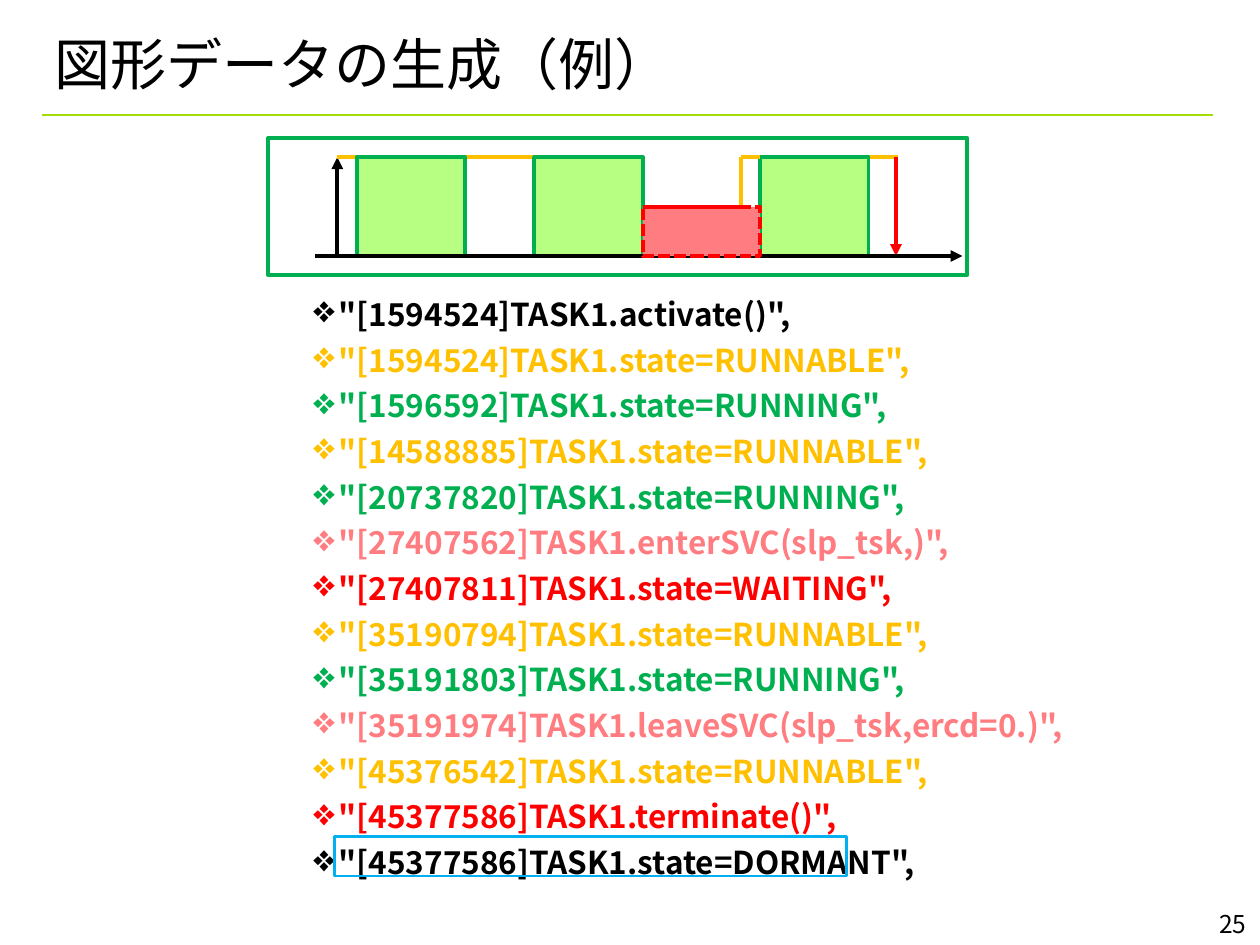
from dataclasses import dataclass

from lxml import etree
from pptx import Presentation
from pptx.dml.color import RGBColor
from pptx.enum.dml import MSO_LINE
from pptx.enum.shapes import MSO_CONNECTOR, MSO_SHAPE
from pptx.enum.text import MSO_ANCHOR, PP_ALIGN
from pptx.oxml.ns import qn
from pptx.util import Cm, Pt

RECT = MSO_SHAPE.RECTANGLE
STRAIGHT = MSO_CONNECTOR.STRAIGHT
DASH = MSO_LINE.SQUARE_DOT
TOP, MIDDLE = MSO_ANCHOR.TOP, MSO_ANCHOR.MIDDLE
LEFT, RIGHT = PP_ALIGN.LEFT, PP_ALIGN.RIGHT


@dataclass(frozen=True)
class Theme:
    font: str = "Noto Sans CJK JP"
    black: str = "000000"
    rule: str = "A4DE00"
    amber: str = "FFC000"
    green: str = "00B050"
    lime: str = "6EFF01"
    pink: str = "FF7C80"
    red: str = "FF0000"
    blue: str = "00B0F0"
    title: float = 32
    body: float = 18
    page: float = 14
    thin: float = 1.5
    thick: float = 2.25


T = Theme()


@dataclass(frozen=True)
class Line:
    x1: float
    y1: float
    x2: float
    y2: float
    color: str
    arrow: bool = False
    width: float = T.thick


@dataclass(frozen=True)
class Box:
    x: float
    y: float
    w: float
    h: float
    color: str
    fill: str | None = None
    alpha: int = 100
    width: float = T.thick
    dashed: bool = False


@dataclass(frozen=True)
class Event:
    time: int
    call: str
    color: str


HIGH, MID, BASE = 3.17, 4.17, 5.16
START, WAKE, STOP = 6.8, 14.94, 18.06
RUNS = (7.19, 10.77, 15.32)
SPAN = 2.19
SLEEP = RUNS[1] + SPAN

RULE = Line(0.84, 2.32, 24.46, 2.32, T.rule, width=T.thin)
UNDER = (
    Line(START, BASE, START, HIGH, T.black, True),
    Line(START, HIGH, RUNS[0], HIGH, T.amber),
    Line(RUNS[0] + SPAN, HIGH, RUNS[1], HIGH, T.amber),
    Line(RUNS[2] + SPAN, HIGH, 18.11, HIGH, T.amber),
    Line(STOP, HIGH, STOP, BASE, T.red, True),
)
OVER = (
    Line(WAKE, MID, WAKE, HIGH, T.amber),
    Line(WAKE, HIGH, RUNS[2], HIGH, T.amber),
    Line(6.35, BASE, 19.4, BASE, T.black, True),
)
FRAMES = (
    Box(6.75, 16.87, 10.32, 0.79, T.blue, width=T.thin),
    Box(5.41, 2.78, 14.09, 2.77, T.green),
)
WAIT = Box(SLEEP, MID, RUNS[2] - SLEEP, BASE - MID, T.red, T.pink, dashed=True)
EDGE = Line(SLEEP, MID, WAKE, MID, T.red)

READY = "state=RUNNABLE"
RUN = "state=RUNNING"
EVENTS = (
    Event(1594524, "activate()", T.black),
    Event(1594524, READY, T.amber),
    Event(1596592, RUN, T.green),
    Event(14588885, READY, T.amber),
    Event(20737820, RUN, T.green),
    Event(27407562, "enterSVC(slp_tsk,)", T.pink),
    Event(27407811, "state=WAITING", T.red),
    Event(35190794, READY, T.amber),
    Event(35191803, RUN, T.green),
    Event(35191974, "leaveSVC(slp_tsk,ercd=0.)", T.pink),
    Event(45376542, READY, T.amber),
    Event(45377586, "terminate()", T.red),
    Event(45377586, "state=DORMANT", T.black),
)


def rgb(color: str) -> RGBColor:
    return RGBColor.from_string(color)


def draw_line(slide, line: Line) -> None:
    ends = (Cm(v) for v in (line.x1, line.y1, line.x2, line.y2))
    shape = slide.shapes.add_connector(STRAIGHT, *ends)
    shape.line.color.rgb = rgb(line.color)
    shape.line.width = Pt(line.width)
    props = shape._element.spPr
    if line.arrow:
        etree.SubElement(props.find(qn("a:ln")), qn("a:tailEnd"), type="triangle")
    etree.SubElement(props, qn("a:effectLst"))


def draw_box(slide, box: Box) -> None:
    area = (Cm(v) for v in (box.x, box.y, box.w, box.h))
    shape = slide.shapes.add_shape(RECT, *area)
    shape.shadow.inherit = False
    shape.line.color.rgb = rgb(box.color)
    shape.line.width = Pt(box.width)
    if box.dashed:
        shape.line.dash_style = DASH
    if box.fill is None:
        shape.fill.background()
        return
    shape.fill.solid()
    shape.fill.fore_color.rgb = rgb(box.fill)
    if box.alpha < 100:
        tint = shape._element.spPr.find(qn("a:solidFill"))[0]
        etree.SubElement(tint, qn("a:alpha"), val=str(box.alpha * 1000))


def add_frame(slide, x: float, y: float, w: float, h: float, anchor=TOP):
    frame = slide.shapes.add_textbox(Cm(x), Cm(y), Cm(w), Cm(h)).text_frame
    frame.word_wrap = True
    frame.vertical_anchor = anchor
    return frame


def write(para, text: str, *, size: float, color: str = T.black,
          bold: bool = False, align=LEFT, bullet: str = "") -> None:
    para.alignment = align
    if bullet:
        props = para._p.get_or_add_pPr()
        props.set("marL", str(Cm(0.51)))
        props.set("indent", str(Cm(-0.51)))
        tint = etree.SubElement(props, qn("a:buClr"))
        etree.SubElement(tint, qn("a:srgbClr"), val=color)
        etree.SubElement(props, qn("a:buSzPct"), val="120000")
        etree.SubElement(props, qn("a:buChar"), char=bullet)
    run = para.add_run()
    run.text = text
    run.font.size = Pt(size)
    run.font.bold = bold
    run.font.color.rgb = rgb(color)
    run.font.name = T.font
    etree.SubElement(run._r.get_or_add_rPr(), qn("a:ea"), typeface=T.font)


def draw_log(slide) -> None:
    frame = add_frame(slide, 6.07, 5.82, 16.03, 13.03)
    for i, event in enumerate(EVENTS):
        para = frame.add_paragraph() if i else frame.paragraphs[0]
        if i:
            para.space_before = Pt(4.5)
        write(para, f'"[{event.time}]TASK1.{event.call}",', size=T.body,
              color=event.color, bold=True, bullet="❖")


def main() -> None:
    deck = Presentation()
    deck.slide_width, deck.slide_height = Cm(25.4), Cm(19.05)
    slide = deck.slides.add_slide(deck.slide_layouts[6])
    draw_line(slide, RULE)
    title = add_frame(slide, 0.84, 0.64, 23.5, 1.27, MIDDLE)
    write(title.paragraphs[0], "図形データの生成（例）", size=T.title)
    draw_log(slide)
    page = add_frame(slide, 23.07, 18.21, 2.31, 0.84)
    write(page.paragraphs[0], "25", size=T.page, align=RIGHT)
    for line in UNDER:
        draw_line(slide, line)
    for x in RUNS:
        draw_box(slide, Box(x, HIGH, SPAN, BASE - HIGH, T.green, T.lime, 49))
    for frame in FRAMES:
        draw_box(slide, frame)
    for line in OVER:
        draw_line(slide, line)
    draw_box(slide, WAIT)
    draw_line(slide, EDGE)
    deck.save("out.pptx")


if __name__ == "__main__":
    main()
